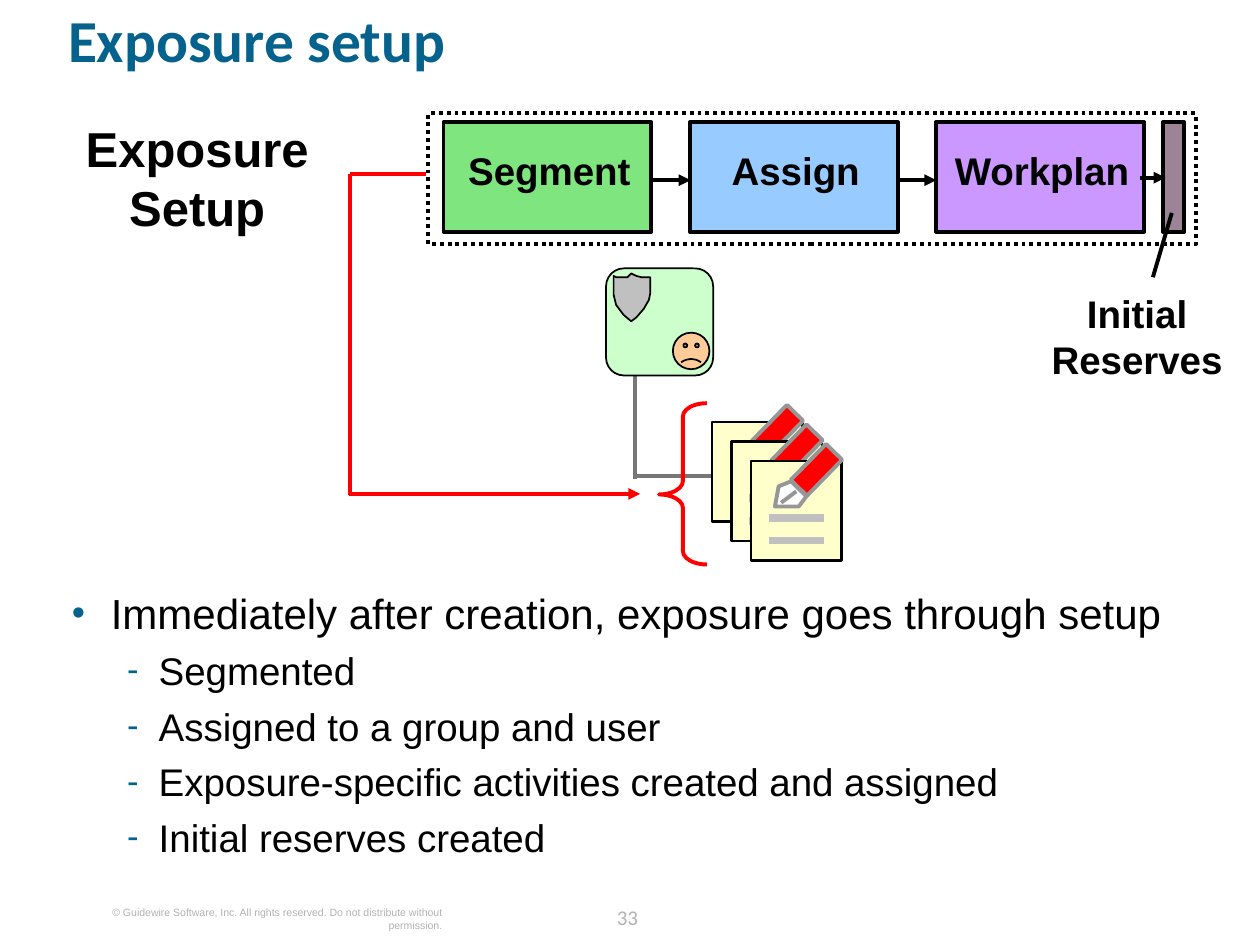
"""Builds the exposure setup slide with its process flow and bullet list."""
from dataclasses import dataclass

from lxml.etree import SubElement
from pptx import Presentation
from pptx.dml.color import RGBColor
from pptx.enum.dml import MSO_LINE
from pptx.enum.shapes import MSO_CONNECTOR, MSO_SHAPE
from pptx.enum.text import PP_ALIGN
from pptx.oxml.ns import qn
from pptx.util import Inches, Pt


@dataclass(frozen=True)
class Theme:
    black: str = "000000"
    white: str = "FFFFFF"
    blue: str = "04628C"
    red: str = "FF0000"
    wire: str = "777777"
    steel: str = "969696"
    silver: str = "C0C0C0"
    pale: str = "B2B2B2"
    paper: str = "FFFFCC"
    mint: str = "CCFFCC"
    skin: str = "FFCC99"
    green: str = "00CC00"
    azure: str = "3399FF"
    violet: str = "9933FF"
    plum: str = "3A082C"
    sans: str = "Arial"
    head: str = "Calibri"
    title: int = 34
    big: int = 28
    body: int = 24
    label: int = 22
    page: int = 12
    legal: int = 6
    thin: float = 1
    edge: float = 1.5
    line: float = 2.25
    bar: float = 4.5


def write(para, text, size, font=Theme.sans, color=Theme.black, bold=False,
          align=PP_ALIGN.LEFT, before=0, space=None, bullet=None, left=0, hang=0):
    props = para._p.get_or_add_pPr()
    if bullet:
        props.set("marL", str(Inches(left)))
        props.set("indent", str(-Inches(hang)))
        tint = SubElement(props, qn("a:buClr"))
        SubElement(tint, qn("a:srgbClr"), val=Theme.blue)
        SubElement(props, qn("a:buSzPct"), val="90000")
        SubElement(props, qn("a:buFont"), typeface=Theme.sans)
        SubElement(props, qn("a:buChar"), char=bullet)
    para.text = text
    para.alignment = align
    para.space_before = Pt(before)
    if space:
        para.line_spacing = space
    for run in para.runs:
        run.font.size = Pt(size)
        run.font.name = font
        run.font.bold = bold
        run.font.color.rgb = RGBColor.from_string(color)


class Board:
    def __init__(self, slide, theme):
        self.shapes = slide.shapes
        self.theme = theme

    def frame(self, x, y, w, h):
        box = self.shapes.add_textbox(Inches(x), Inches(y), Inches(w), Inches(h))
        frame = box.text_frame
        frame.word_wrap = True
        frame.margin_left = frame.margin_right = 0
        frame.margin_top = frame.margin_bottom = 0
        return frame

    def text(self, x, y, w, h, text, size, **style):
        write(self.frame(x, y, w, h).paragraphs[0], text, size, **style)

    def label(self, x, y, w, h, text, size):
        self.text(x, y, w, h, text, size, bold=True, align=PP_ALIGN.CENTER)

    def bullets(self, x, y, w, h, lead, items):
        frame = self.frame(x, y, w, h)
        write(frame.paragraphs[0], lead, self.theme.body,
              bullet="•", left=0.31, hang=0.31)
        for item in items:
            para = frame.add_paragraph()
            para.level = 1
            write(para, item, self.theme.label, before=5.4,
                  bullet="-", left=0.69, hang=0.25)

    def paint(self, shape, fill, color, width, alpha=None):
        shape.shadow.inherit = False
        if fill:
            shape.fill.solid()
            shape.fill.fore_color.rgb = RGBColor.from_string(fill)
        else:
            shape.fill.background()
        if alpha:
            tint = shape._element.spPr.find(qn("a:solidFill"))[0]
            SubElement(tint, qn("a:alpha"), val=str(alpha * 1000))
        shape.line.color.rgb = RGBColor.from_string(color)
        shape.line.width = Pt(width)

    def shape(self, kind, x, y, w, h, fill=None, color=Theme.black,
              width=Theme.line, alpha=None, adjust=(), turn=0, dash=None):
        shape = self.shapes.add_shape(kind, Inches(x), Inches(y), Inches(w), Inches(h))
        for spot, value in enumerate(adjust):
            shape.adjustments[spot] = value
        shape.rotation = turn
        self.paint(shape, fill, color, width, alpha)
        if dash:
            shape.line.dash_style = dash

    def outline(self, points, fill, color, width):
        dots = [(Inches(x), Inches(y)) for x, y in points]
        pen = self.shapes.build_freeform(*dots[0])
        pen.add_line_segments(dots[1:], close=True)
        self.paint(pen.convert_to_shape(), fill, color, width)

    def line(self, start, end, color=Theme.black, width=Theme.line, arrow=False):
        ends = [Inches(value) for value in (*start, *end)]
        link = self.shapes.add_connector(MSO_CONNECTOR.STRAIGHT, *ends)
        link.line.color.rgb = RGBColor.from_string(color)
        link.line.width = Pt(width)
        if arrow:
            SubElement(link.line._get_or_add_ln(), qn("a:tailEnd"), type="triangle")
        SubElement(link._element.spPr, qn("a:effectLst"))

    def note(self, x, y):
        look = self.theme
        self.shape(MSO_SHAPE.RECTANGLE, x, y, 0.72, 0.79, look.paper, width=look.edge)
        for drop in (0.63, 0.45):
            self.line((x + 0.14, y + drop), (x + 0.58, y + drop), look.silver, look.bar)
        self.shape(MSO_SHAPE.RECTANGLE, x + 0.43, y - 0.13, 0.18, 0.4,
                   look.red, look.steel, turn=44.3)
        nib = ((0.32, 0.16), (0.22, 0.2), (0.19, 0.36), (0.38, 0.36), (0.44, 0.28))
        self.outline([(x + dx, y + dy) for dx, dy in nib],
                     look.white, look.steel, look.line)


def flow(board, look):
    box = MSO_SHAPE.RECTANGLE
    board.shape(box, 3.4, 0.9, 6.09, 1.04, look.white, dash=MSO_LINE.ROUND_DOT)
    steps = (("Segment", look.green), ("Assign", look.azure), ("Workplan", look.violet))
    for spot, (name, fill) in enumerate(steps):
        x = 3.52 + spot * 1.955
        board.shape(box, x, 0.97, 1.65, 0.87, fill, alpha=50)
        board.label(x, 1.17, 1.68, 0.37, name, look.label)
    for x in (5.17, 7.12):
        board.line((x, 1.43), (x + 0.31, 1.43), arrow=True)
    board.shape(box, 9.23, 0.97, 0.17, 0.87, look.plum, alpha=50)
    board.line((9.05, 1.41), (9.25, 1.41), arrow=True)
    board.label(8.31, 2.3, 1.43, 0.73, "Initial\nReserves", look.label)
    board.line((9.15, 2.2), (9.3, 1.69))
    board.label(0.61, 0.94, 1.91, 0.93, "Exposure\nSetup", look.big)


def claim(board, look):
    board.line((5.04, 3.8), (5.04, 2.76), look.wire)
    board.line((5.67, 3.78), (5.03, 3.78), look.wire)
    for spot in range(3):
        board.note(5.65 + spot * 0.155, 3.35 + spot * 0.155)
    board.line((6.32, 3.9), (6.2, 3.99), look.steel)
    board.shape(MSO_SHAPE.ROUNDED_RECTANGLE, 4.81, 2.13, 0.85, 0.85,
                look.mint, width=look.thin, adjust=(0.167,))
    shield = ((5.01, 2.55), (4.95, 2.5), (4.89, 2.42), (4.87, 2.34), (4.87, 2.19),
              (4.89, 2.2), (4.98, 2.2), (5.01, 2.17), (5.05, 2.19), (5.09, 2.2),
              (5.16, 2.2), (5.16, 2.33), (5.15, 2.38), (5.11, 2.45), (5.05, 2.52))
    board.outline(shield, look.silver, look.black, look.thin)
    board.shape(MSO_SHAPE.SMILEY_FACE, 5.34, 2.64, 0.29, 0.29,
                look.skin, width=look.thin, adjust=(-0.047,))
    board.line((3.38, 1.38), (2.78, 1.38), look.red)
    board.line((2.78, 1.38), (2.78, 3.93), look.red)
    board.shape(MSO_SHAPE.LEFT_BRACE, 5.23, 3.2, 0.38, 1.28,
                color=look.red, adjust=(0.279, 0.566))
    board.line((2.77, 3.92), (5.08, 3.92), look.red, arrow=True)


def main():
    deck = Presentation()
    deck.slide_width, deck.slide_height = Inches(10), Inches(7.5)
    look = Theme()
    board = Board(deck.slides.add_slide(deck.slide_layouts[6]), look)
    board.text(4.73, 7.13, 0.5, 0.25, "33", look.page, font=look.head,
               color=look.pale, align=PP_ALIGN.CENTER, space=Pt(18))
    board.text(0.61, 7.19, 2.9, 0.2, "© Guidewire Software, Inc. All rights reserved. "
               "Do not distribute without permission.", look.legal,
               color=look.pale, align=PP_ALIGN.RIGHT)
    board.text(0.54, 0.13, 9.1, 0.81, "Exposure setup", look.title,
               font=look.head, color=look.blue, bold=True, space=0.8)
    board.bullets(0.57, 4.66, 9.1, 2.24,
                  "Immediately after creation, exposure goes through setup",
                  ("Segmented", "Assigned to a group and user",
                   "Exposure-specific activities created and assigned",
                   "Initial reserves created"))
    claim(board, look)
    flow(board, look)
    deck.save("out.pptx")


if __name__ == "__main__":
    main()
